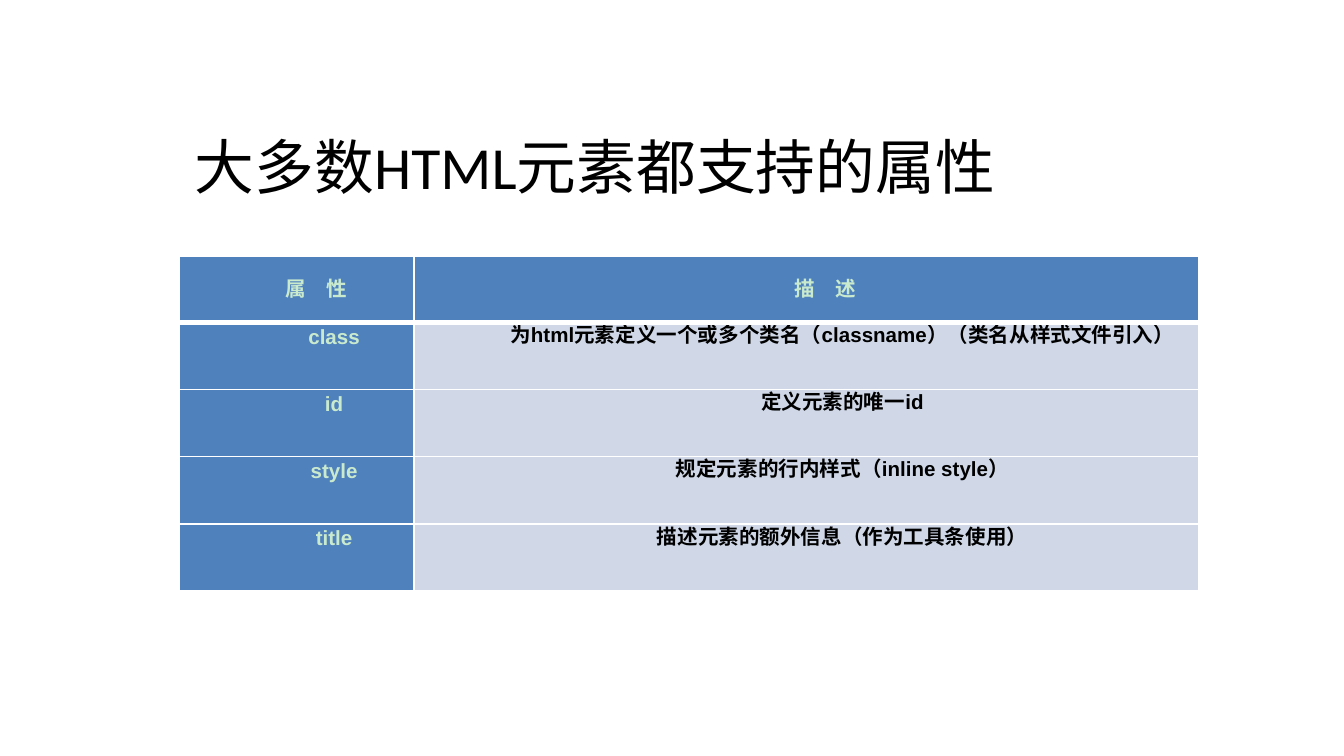
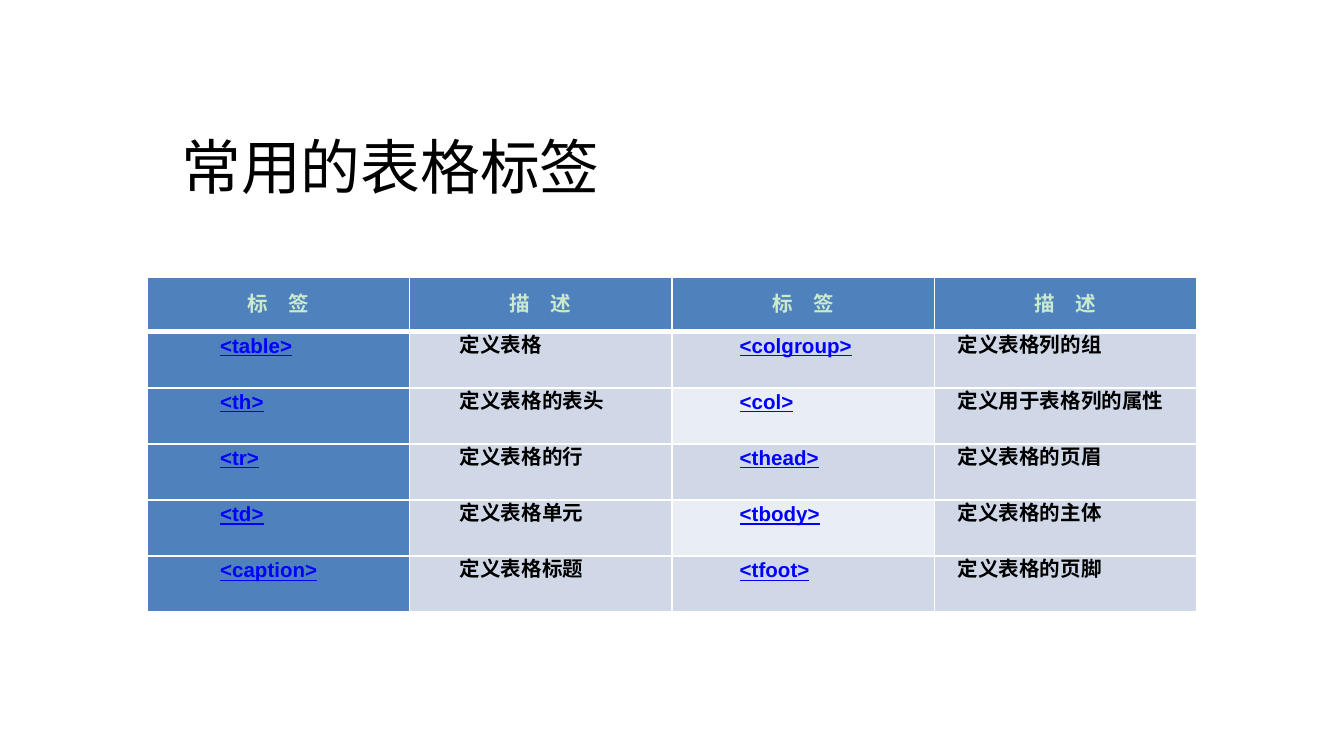
import pptx
import pptx.dml.color
import pptx.enum.text
import pptx.oxml
import pptx.oxml.ns
import pptx.util
from dataclasses import dataclass

Cm = pptx.util.Cm
Pt = pptx.util.Pt
RGBColor = pptx.dml.color.RGBColor
Align = pptx.enum.text.PP_ALIGN
Anchor = pptx.enum.text.MSO_ANCHOR

WHITE = RGBColor(0xFF, 0xFF, 0xFF)
BLACK = RGBColor(0x00, 0x00, 0x00)
PALE_GREEN = RGBColor(0xCA, 0xEA, 0xCE)
BLUE = RGBColor(0x4F, 0x81, 0xBD)
LINK_BLUE = RGBColor(0x00, 0x00, 0xFF)
BAND_DARK = RGBColor(0xD0, 0xD8, 0xE8)
BAND_LIGHT = RGBColor(0xE9, 0xED, 0xF4)

TITLE_FONT = "Calibri"
TABLE_FONT = "Arial"
TITLE_ONLY_LAYOUT = 5


@dataclass
class ColumnStyle:
    """Look of the body cells in one table column."""
    width: float
    indent: float
    align: object
    color: RGBColor
    fills: tuple = (BAND_DARK,)
    underline: bool = False


ATTRIBUTE_HEADERS = ("属\u3000性", "描\u3000述")
ATTRIBUTE_ROWS = (
    ("class", "为html元素定义一个或多个类名（classname）（类名从样式文件引入）"),
    ("id", "定义元素的唯一id"),
    ("style", "规定元素的行内样式（inline style）"),
    ("title", "描述元素的额外信息（作为工具条使用）"),
)
ATTRIBUTE_COLUMNS = (
    ColumnStyle(4.43, 1.42, Align.CENTER, PALE_GREEN, (BLUE,)),
    ColumnStyle(14.83, 1.37, Align.CENTER, BLACK),
)

TAG_HEADERS = ("标\u3000签", "描\u3000述") * 2
TAG_ROWS = (
    ("<table>", "定义表格", "<colgroup>", "定义表格列的组"),
    ("<th>", "定义表格的表头", "<col>", "定义用于表格列的属性"),
    ("<tr>", "定义表格的行", "<thead>", "定义表格的页眉"),
    ("<td>", "定义表格单元", "<tbody>", "定义表格的主体"),
    ("<caption>", "定义表格标题", "<tfoot>", "定义表格的页脚"),
)
TAG_WIDTH = 4.96
TAG_COLUMNS = (
    ColumnStyle(TAG_WIDTH, 1.19, Align.JUSTIFY, LINK_BLUE, (BLUE,), True),
    ColumnStyle(TAG_WIDTH, 0.76, Align.JUSTIFY, BLACK),
    ColumnStyle(TAG_WIDTH, 1.09, Align.JUSTIFY, LINK_BLUE,
                (BAND_DARK, BAND_LIGHT), True),
    ColumnStyle(TAG_WIDTH, 0.25, Align.JUSTIFY, BLACK),
)


def add_slide(presentation, title, title_width, title_inset=0.25):
    """Add a white slide with the shared title style."""
    slide = presentation.slides.add_slide(
        presentation.slide_layouts[TITLE_ONLY_LAYOUT])
    slide.background.fill.solid()
    slide.background.fill.fore_color.rgb = WHITE
    shape = slide.shapes.title
    shape.left, shape.top = Cm(3.18), Cm(2.29)
    shape.width, shape.height = Cm(title_width), Cm(1.7)
    frame = shape.text_frame
    frame.text = title
    frame.auto_size = pptx.enum.text.MSO_AUTO_SIZE.NONE
    frame.vertical_anchor = Anchor.MIDDLE
    frame.margin_left = Cm(title_inset)
    paragraph = frame.paragraphs[0]
    paragraph.alignment = Align.LEFT
    paragraph.font.name = TITLE_FONT
    paragraph.font.size = Pt(32)
    paragraph.font.color.rgb = BLACK
    return slide


def set_borders(cell, top=1, bottom=1):
    """Draw white borders round a cell, with widths in points."""
    properties = cell._tc.get_or_add_tcPr()
    for side, width in (("L", 1), ("R", 1), ("T", top), ("B", bottom)):
        properties.append(pptx.oxml.parse_xml(
            f'<a:ln{side} {pptx.oxml.ns.nsdecls("a")} w="{Pt(width)}">'
            f'<a:solidFill><a:srgbClr val="{WHITE}"/></a:solidFill>'
            f'</a:ln{side}>'))


def format_cell(cell, text, fill, color, align, indent, underline=False):
    """Write and format the single paragraph of a cell."""
    cell.fill.solid()
    cell.fill.fore_color.rgb = fill
    cell.margin_left = cell.margin_right = Cm(0.19)
    cell.margin_top = cell.margin_bottom = 0
    cell.text = text
    paragraph = cell.text_frame.paragraphs[0]
    paragraph.alignment = align
    paragraph.line_spacing = Pt(14)
    paragraph_properties = paragraph._p.get_or_add_pPr()
    paragraph_properties.set("marL", "0")
    paragraph_properties.set("indent", str(Cm(indent)))
    font = paragraph.font
    font.name = TABLE_FONT
    font.size = Pt(11)
    font.bold = True
    font.underline = underline
    font.color.rgb = color


def add_grid(slide, left, top, headers, rows, columns, header_height,
             row_height, header_indent):
    """Add a table with a blue header row and styled body columns."""
    width = sum(column.width for column in columns)
    height = header_height + row_height * len(rows)
    table = slide.shapes.add_table(
        len(rows) + 1, len(columns),
        Cm(left), Cm(top), Cm(width), Cm(height)).table
    table.horz_banding = False
    for row in table.rows:
        row.height = Cm(row_height)
    table.rows[0].height = Cm(header_height)
    for column_index, style in enumerate(columns):
        table.columns[column_index].width = Cm(style.width)
        header = table.cell(0, column_index)
        set_borders(header, bottom=3)
        format_cell(header, headers[column_index], BLUE, PALE_GREEN,
                    Align.CENTER, header_indent)
        header.vertical_anchor = Anchor.MIDDLE
        for row_index, texts in enumerate(rows):
            cell = table.cell(row_index + 1, column_index)
            set_borders(cell, top=3 if row_index == 0 else 1)
            format_cell(cell, texts[column_index],
                        style.fills[row_index % len(style.fills)],
                        style.color, style.align, style.indent,
                        style.underline)


def main():
    """Build both slides and save the presentation."""
    presentation = pptx.Presentation()
    presentation.slide_width = Cm(25.4)
    presentation.slide_height = Cm(14.29)

    slide = add_slide(presentation, "大多数HTML元素都支持的属性", 18.16,
                      title_inset=0.5)
    add_grid(slide, 3.39, 4.84, ATTRIBUTE_HEADERS, ATTRIBUTE_ROWS,
             ATTRIBUTE_COLUMNS, header_height=1.25, row_height=1.27,
             header_indent=0.74)

    slide = add_slide(presentation, "常用的表格标签", 15.44)
    add_grid(slide, 2.78, 5.24, TAG_HEADERS, TAG_ROWS, TAG_COLUMNS,
             header_height=1.03, row_height=1.06, header_indent=0)

    presentation.save("out.pptx")


main()
